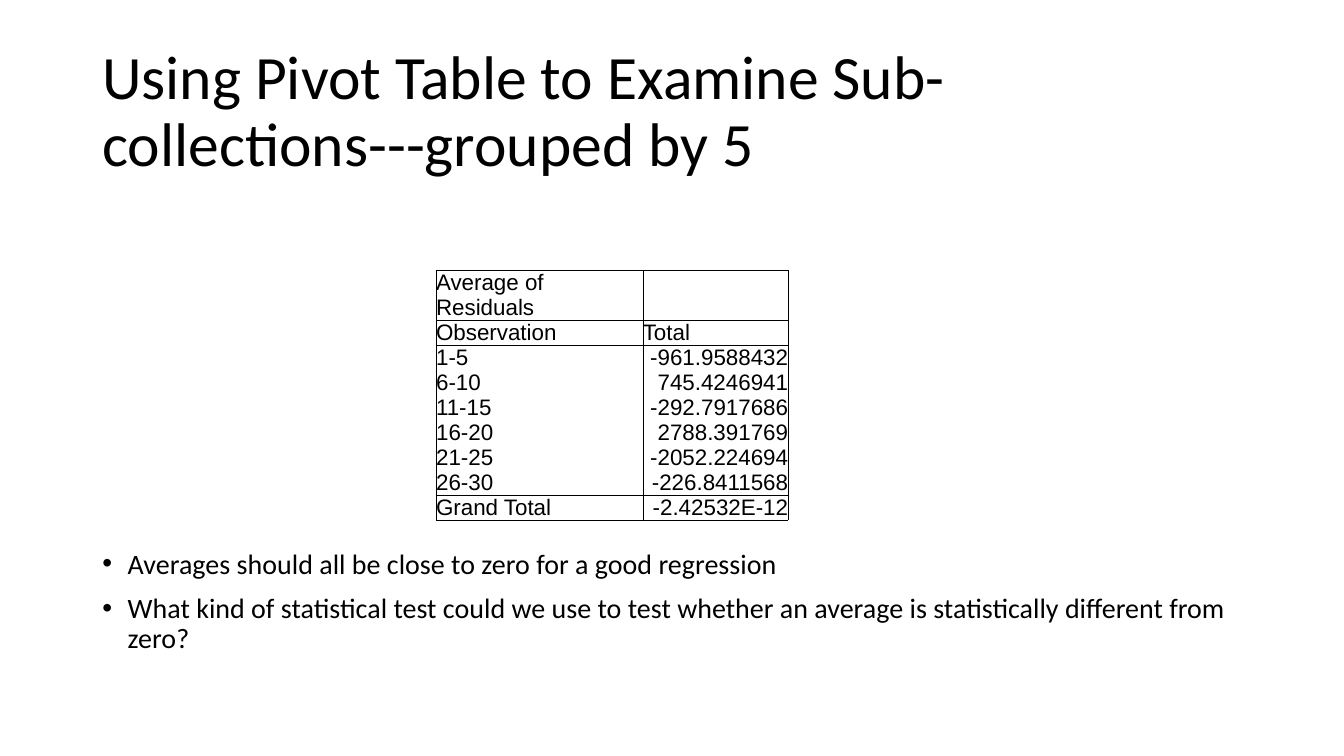
from lxml.etree import SubElement
from pptx import Presentation
from pptx.dml.color import RGBColor
from pptx.enum.text import MSO_ANCHOR, PP_ALIGN
from pptx.oxml.ns import qn
from pptx.util import Cm, Pt

COLORS = {"ink": "000000", "page": "FFFFFF"}
TITLE = "Using Pivot Table to Examine Sub-collections---grouped by 5"
BULLETS = [
    "Averages should all be close to zero for a good regression",
    "What kind of statistical test could we use to test whether an average "
    "is statistically different from zero?",
]
PIVOT_ROWS = [
    ("", ""),
    ("", ""),
    ("Average of Residuals", ""),
    ("Observation", "Total"),
    ("1-5", "-961.9588432"),
    ("6-10", "745.4246941"),
    ("11-15", "-292.7917686"),
    ("16-20", "2788.391769"),
    ("21-25", "-2052.224694"),
    ("26-30", "-226.8411568"),
    ("Grand Total", "-2.42532E-12"),
    ("", ""),
]
HEADING_ROW, LABEL_ROW, TOTAL_ROW = 2, 3, 10
RULES_ABOVE = {HEADING_ROW, LABEL_ROW, LABEL_ROW + 1, TOTAL_ROW, TOTAL_ROW + 1}
COLUMN_WIDTHS = (5.21, 3.66)
EMPTY_HEIGHT, LINE_HEIGHT = 0.54, 0.63


def style_font(para, name, size):
    para.font.name = name
    para.font.size = Pt(size)
    para.font.color.rgb = RGBColor.from_string(COLORS["ink"])


def add_text_frame(page, box, anchor):
    frame = page.shapes.add_textbox(*map(Cm, box)).text_frame
    frame.word_wrap = True
    frame.vertical_anchor = anchor
    return frame


def add_title(page, box):
    para = add_text_frame(page, box, MSO_ANCHOR.MIDDLE).paragraphs[0]
    para.text = TITLE
    para.line_spacing = 0.9
    style_font(para, "Calibri", 44)


def add_bullets(page, box):
    frame = add_text_frame(page, box, MSO_ANCHOR.TOP)
    for index, text in enumerate(BULLETS):
        para = frame.add_paragraph() if index else frame.paragraphs[0]
        para.text = text
        properties = para._p.get_or_add_pPr()
        properties.set("marL", str(Cm(0.64)))
        properties.set("indent", str(-Cm(0.64)))
        SubElement(properties, qn("a:buFont"), typeface="Arial")
        SubElement(properties, qn("a:buChar"), char="•")
        para.line_spacing = 0.9
        if index:
            para.space_before = Pt(10)
        style_font(para, "Calibri", 20)


def set_borders(cell, visible_edges):
    properties = cell._tc.get_or_add_tcPr()
    for edge in "LRTB":
        line = SubElement(properties, qn(f"a:ln{edge}"), w=str(Pt(0.5)))
        if edge in visible_edges:
            fill = SubElement(line, qn("a:solidFill"))
            SubElement(fill, qn("a:srgbClr"), val=COLORS["ink"])
        else:
            SubElement(line, qn("a:noFill"))


def row_edges(row):
    sides = "LR" if HEADING_ROW <= row <= TOTAL_ROW else ""
    top = "T" if row in RULES_ABOVE else ""
    bottom = "B" if row + 1 in RULES_ABOVE else ""
    return sides + top + bottom


def fill_cell(cell, text, edges, alignment):
    cell.margin_left = cell.margin_right = 0
    cell.margin_top = cell.margin_bottom = 0
    cell.vertical_anchor = MSO_ANCHOR.BOTTOM
    set_borders(cell, edges)
    cell.fill.background()
    para = cell.text_frame.paragraphs[0]
    if text:
        para.text = text
        para.alignment = alignment
        style_font(para, "Arial", 16)
    else:
        para._p.get_or_add_endParaRPr().set("sz", "1000")


def add_pivot_table(page, left, top):
    heights = [LINE_HEIGHT if any(values) else EMPTY_HEIGHT for values in PIVOT_ROWS]
    heights[HEADING_ROW] = 2 * LINE_HEIGHT
    box = (left, top, sum(COLUMN_WIDTHS), sum(heights))
    table = page.shapes.add_table(
        len(heights), len(COLUMN_WIDTHS), *map(Cm, box)
    ).table
    table.first_row = table.horz_banding = False
    for column, width in zip(table.columns, COLUMN_WIDTHS):
        column.width = Cm(width)
    for row, values in enumerate(PIVOT_ROWS):
        table.rows[row].height = Cm(heights[row])
        for column, text in enumerate(values):
            numeric = column == 1 and row > LABEL_ROW
            alignment = PP_ALIGN.RIGHT if numeric else PP_ALIGN.LEFT
            fill_cell(table.cell(row, column), text, row_edges(row), alignment)


def main():
    deck = Presentation()
    deck.slide_width, deck.slide_height = Cm(33.87), Cm(19.05)
    page = deck.slides.add_slide(deck.slide_layouts[6])
    page.background.fill.solid()
    page.background.fill.fore_color.rgb = RGBColor.from_string(COLORS["page"])
    add_pivot_table(page, 10.99, 5.72)
    add_title(page, (2.33, 1.01, 29.21, 3.68))
    add_bullets(page, (2.33, 13.73, 29.21, 3.44))
    deck.save("out.pptx")


if __name__ == "__main__":
    main()
